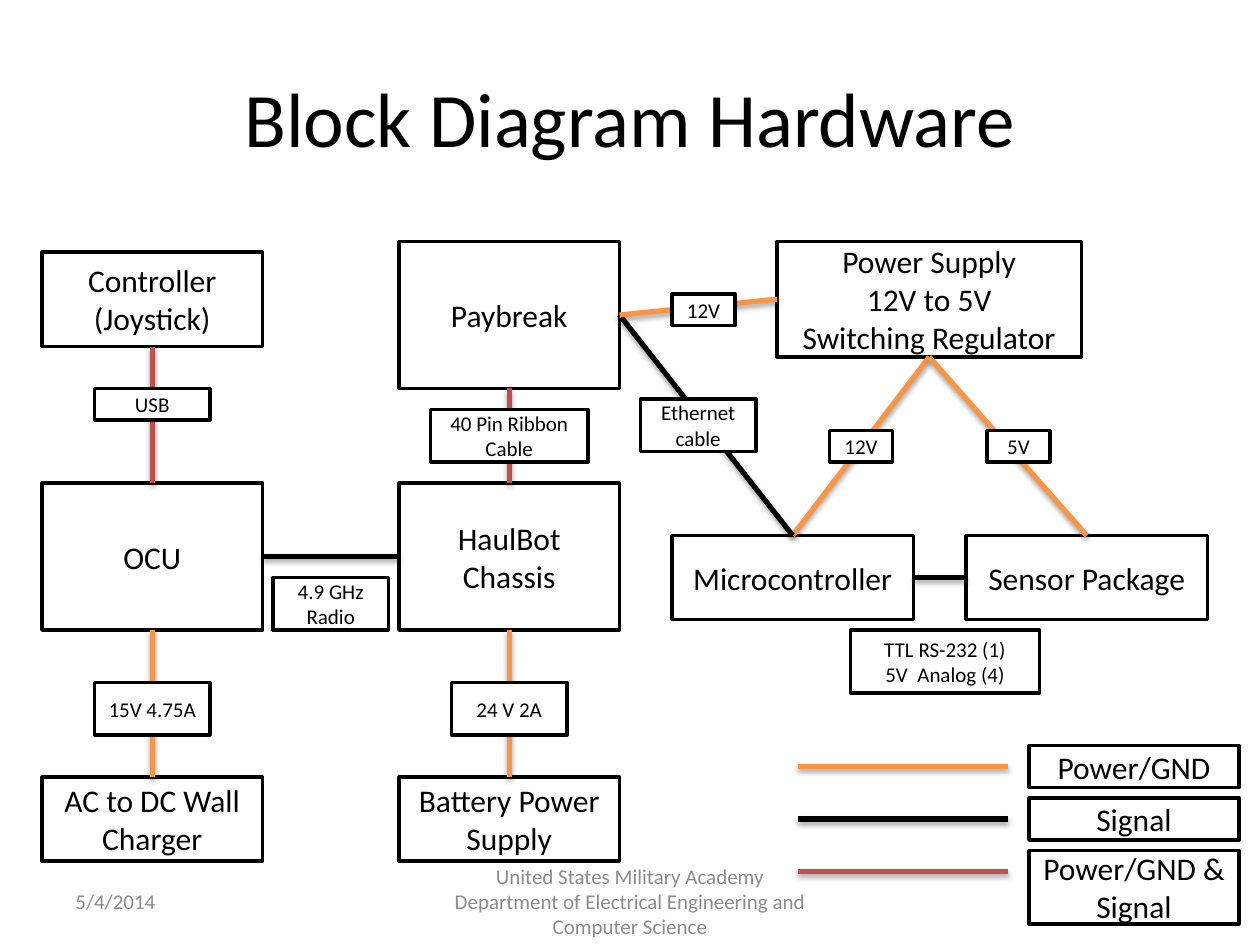
from dataclasses import dataclass

from lxml.etree import SubElement
from pptx import Presentation
from pptx.dml.color import RGBColor
from pptx.enum.shapes import MSO_CONNECTOR as Connector, MSO_SHAPE as Shape
from pptx.enum.text import MSO_ANCHOR as Anchor, MSO_AUTO_SIZE as AutoSize, PP_ALIGN as Align
from pptx.oxml.ns import qn
from pptx.util import Cm, Pt


@dataclass(frozen=True)
class Theme:
    font: str = "Calibri"
    ink: RGBColor = RGBColor(0, 0, 0)
    paper: RGBColor = RGBColor(255, 255, 255)
    muted: RGBColor = RGBColor(0x8C, 0x8C, 0x8C)
    power: RGBColor = RGBColor(0xF7, 0x96, 0x46)
    signal: RGBColor = RGBColor(0, 0, 0)
    both: RGBColor = RGBColor(0xC0, 0x50, 0x4D)
    title: Pt = Pt(44)
    body: Pt = Pt(18)
    small: Pt = Pt(12)
    border: Pt = Pt(2)
    wire: Pt = Pt(3)


theme = Theme()
GRID = 2.54 / 12
TOP, LEFT, BOTTOM, RIGHT = range(4)

deck = Presentation()
deck.slide_width, deck.slide_height = Cm(25.4), Cm(19.05)
page = deck.slides.add_slide(deck.slide_layouts[6])


def add_text(text, bounds, size, color=theme.ink, align=Align.CENTER, framed=True):
    bounds = [Cm(GRID * steps) for steps in bounds]
    if framed:
        box = page.shapes.add_shape(Shape.RECTANGLE, *bounds)
        box.shadow.inherit = False
        box.fill.solid()
        box.fill.fore_color.rgb = theme.paper
        box.line.color.rgb = theme.ink
        box.line.width = theme.border
    else:
        box = page.shapes.add_textbox(*bounds)
    frame = box.text_frame
    frame.text = text
    frame.word_wrap = True
    frame.auto_size = AutoSize.NONE
    frame.vertical_anchor = Anchor.MIDDLE
    for para in frame.paragraphs:
        para.alignment = align
        for span in para.runs:
            span.font.name = theme.font
            span.font.size = size
            span.font.color.rgb = color
    return box


def add_wire(color, start=(0, 0), end=(0, 0)):
    wire = page.shapes.add_connector(
        Connector.STRAIGHT, *[Cm(GRID * steps) for steps in (*start, *end)])
    wire.line.color.rgb = color
    wire.line.width = theme.wire
    effects = SubElement(wire._element.spPr, qn("a:effectLst"))
    shadow = SubElement(effects, qn("a:outerShdw"), blurRad=str(Pt(3.1)),
                        dist=str(Pt(1.8)), dir="5400000", rotWithShape="0")
    shade = SubElement(shadow, qn("a:srgbClr"), val=str(theme.ink))
    SubElement(shade, qn("a:alpha"), val="35000")
    return wire


add_text("Block Diagram Hardware", (6, 3.6, 108, 15), theme.title, framed=False)
add_text("5/4/2014", (6, 83.4, 28, 4.8), theme.small, theme.muted, Align.LEFT, False)
add_text("United States Military Academy\n"
         "Department of Electrical Engineering and Computer Science",
         (41, 83.4, 38, 4.8), theme.small, theme.muted, framed=False)

blocks = {
    "ocu": ("OCU", (4, 46, 21, 14)),
    "controller": ("Controller\n(Joystick)", (4, 24, 21, 9)),
    "charger": ("AC to DC Wall Charger", (4, 74, 21, 8)),
    "micro": ("Microcontroller", (64, 51, 23, 8)),
    "paybreak": ("Paybreak", (38, 23, 21, 14)),
    "chassis": ("HaulBot Chassis", (38, 46, 21, 14)),
    "battery": ("Battery Power Supply", (38, 74, 21, 8)),
    "sensors": ("Sensor Package", (92, 51, 23, 8)),
    "regulator": ("Power Supply\n12V to 5V\nSwitching Regulator", (74, 23, 29, 11)),
}
nodes = {name: add_text(text, bounds, theme.body)
         for name, (text, bounds) in blocks.items()}

legend = [
    ("Power/GND", theme.power, 4),
    ("Signal", theme.signal, 4),
    ("Power/GND & Signal", theme.both, 7),
]
for row, (text, color, height) in enumerate(legend):
    top = 71 + 5 * row
    add_wire(color, (76, top + 2), (96, top + 2))
    add_text(text, (98, top, 20, height), theme.body)

links = [
    ("micro", RIGHT, "sensors", LEFT, theme.signal),
    ("regulator", BOTTOM, "micro", TOP, theme.power),
    ("regulator", BOTTOM, "sensors", TOP, theme.power),
    ("micro", TOP, "paybreak", RIGHT, theme.signal),
    ("paybreak", RIGHT, "regulator", LEFT, theme.power),
    ("chassis", TOP, "paybreak", BOTTOM, theme.both),
    ("ocu", TOP, "controller", BOTTOM, theme.both),
    ("charger", TOP, "ocu", BOTTOM, theme.power),
    ("chassis", BOTTOM, "battery", TOP, theme.power),
    ("ocu", RIGHT, "chassis", LEFT, theme.signal),
]
for source, source_side, target, target_side, color in links:
    wire = add_wire(color)
    wire.begin_connect(nodes[source], source_side)
    wire.end_connect(nodes[target], target_side)

labels = [
    ("4.9 GHz Radio", (26, 55, 11, 5)),
    ("USB", (9, 37, 11, 3)),
    ("24 V 2A", (43, 65, 11, 5)),
    ("15V 4.75A", (9, 65, 11, 5)),
    ("40 Pin Ribbon Cable", (41, 39, 15, 5)),
    ("TTL RS-232 (1)\n5V  Analog (4)", (81, 60, 18, 6)),
    ("Ethernet cable", (61, 38, 11, 5)),
    ("12V", (64, 28, 6, 3)),
    ("12V", (79, 41, 6, 3)),
    ("5V", (94, 41, 6, 3)),
]
for text, bounds in labels:
    add_text(text, bounds, theme.small)

deck.save("out.pptx")
